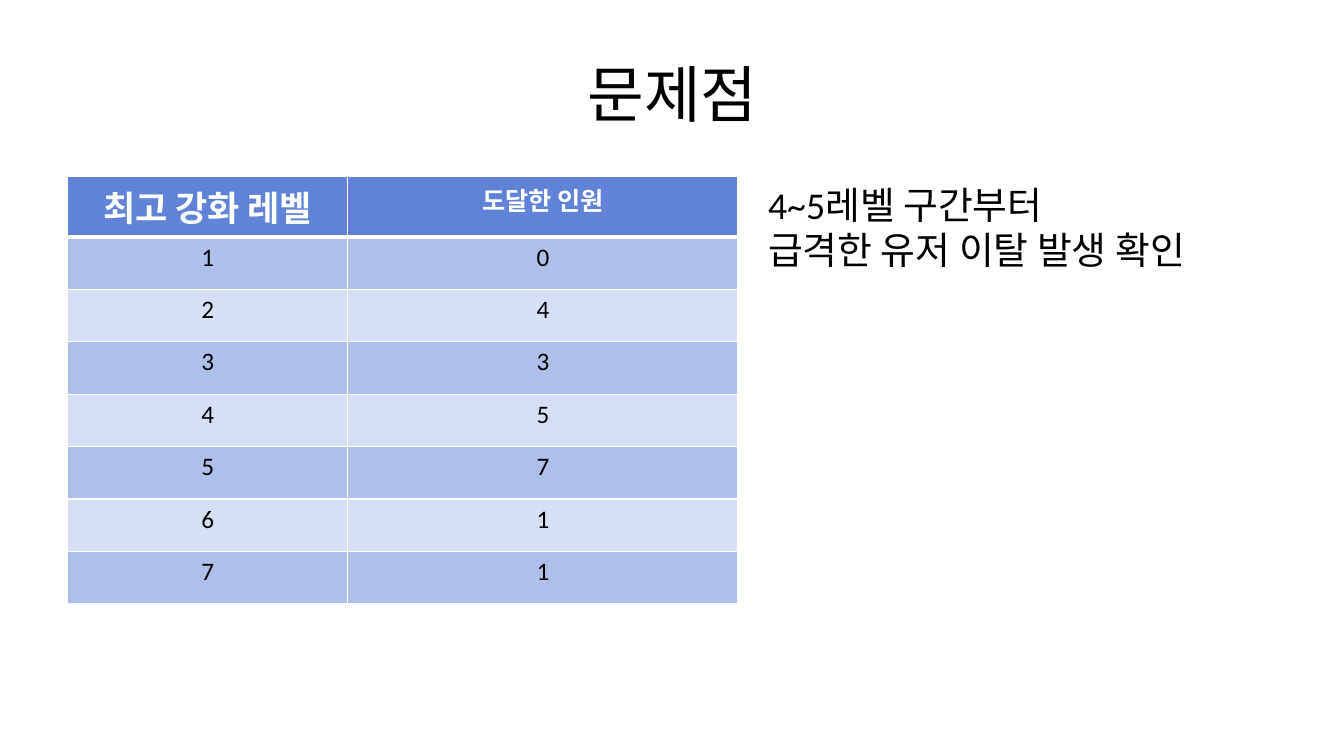
import pptx
import pptx.dml.color
import pptx.enum.text
import pptx.oxml
import pptx.oxml.ns
import pptx.util
from pptx.dml.color import RGBColor
from pptx.util import Inches

FONT = "Calibri"
BLACK = RGBColor(0x00, 0x00, 0x00)
WHITE = RGBColor(0xFF, 0xFF, 0xFF)
HEADER_BLUE = RGBColor(0x61, 0x82, 0xD6)
BAND_DARK = RGBColor(0xAE, 0xBF, 0xEA)
BAND_LIGHT = RGBColor(0xD7, 0xDF, 0xF4)
CENTER = pptx.enum.text.PP_ALIGN.CENTER


def add_text(paragraph, text, size, color=BLACK, bold=False, alignment=None):
    run = paragraph.add_run()
    run.text = text
    run.font.name = FONT
    run.font.size = pptx.util.Pt(size)
    run.font.bold = bold
    run.font.color.rgb = color
    paragraph.alignment = alignment


def add_borders(cell, bottom_width):
    # Border elements come before the fill, in the order left, right, top, bottom
    widths = {"lnL": 1, "lnR": 1, "lnT": 1, "lnB": bottom_width}
    properties = cell._tc.get_or_add_tcPr()
    for position, (tag, width) in enumerate(widths.items()):
        border = pptx.oxml.parse_xml(
            f'<a:{tag} {pptx.oxml.ns.nsdecls("a")} w="{pptx.util.Pt(width)}">'
            f'<a:solidFill><a:srgbClr val="{WHITE}"/></a:solidFill></a:{tag}>'
        )
        properties.insert(position, border)


presentation = pptx.Presentation()
presentation.slide_width = Inches(13.33)
presentation.slide_height = Inches(7.5)
slide = presentation.slides.add_slide(presentation.slide_layouts[5])

# Title
title = slide.shapes.title
title.left, title.top = Inches(0.67), Inches(0.3)
title.width, title.height = Inches(12), Inches(1.25)
title.text_frame.vertical_anchor = pptx.enum.text.MSO_ANCHOR.MIDDLE
add_text(title.text_frame.paragraphs[0], "문제점", 44, alignment=CENTER)

# Table of users by highest level
headers = [("최고 강화 레벨", 25), ("도달한 인원", 18)]
users_by_level = [0, 4, 3, 5, 7, 1, 1]
row_count = len(users_by_level) + 1
table = slide.shapes.add_table(
    row_count, 2, Inches(0.67), Inches(1.75), Inches(6.65), Inches(0.52 * row_count)
).table
table.columns[0].width = Inches(2.78)
table.columns[1].width = Inches(3.87)

for column, (header, size) in enumerate(headers):
    cell = table.cell(0, column)
    cell.fill.solid()
    cell.fill.fore_color.rgb = HEADER_BLUE
    add_borders(cell, 3)
    add_text(cell.text_frame.paragraphs[0], header, size, WHITE, True, CENTER)

for level, users in enumerate(users_by_level, start=1):
    for column, value in enumerate((level, users)):
        cell = table.cell(level, column)
        cell.fill.solid()
        cell.fill.fore_color.rgb = BAND_DARK if level % 2 else BAND_LIGHT
        add_borders(cell, 1)
        add_text(cell.text_frame.paragraphs[0], str(value), 18, alignment=CENTER)

# The header's bottom line is shared with the first data row
for column in range(2):
    top_border = table.cell(1, column)._tc.tcPr.find(pptx.oxml.ns.qn("a:lnT"))
    top_border.set("w", str(pptx.util.Pt(3)))

# Finding
finding = slide.shapes.add_textbox(Inches(7.52), Inches(1.75), Inches(5.4), Inches(0.99))
finding.text_frame.word_wrap = True
finding.text_frame.auto_size = pptx.enum.text.MSO_AUTO_SIZE.SHAPE_TO_FIT_TEXT
add_text(finding.text_frame.paragraphs[0], "4~5레벨 구간부터", 27)
add_text(finding.text_frame.add_paragraph(), "급격한 유저 이탈 발생 확인", 27)

presentation.save("out.pptx")
